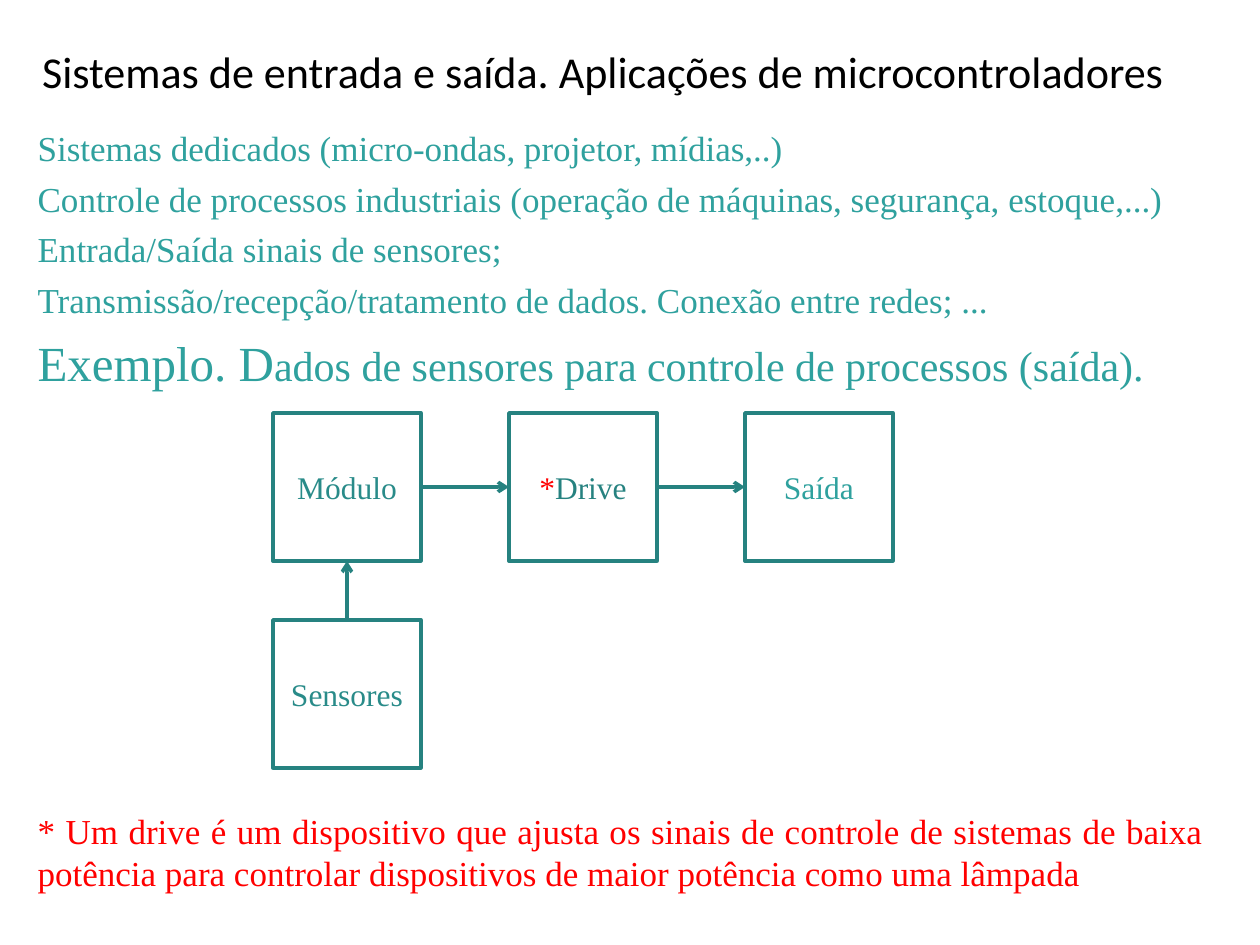
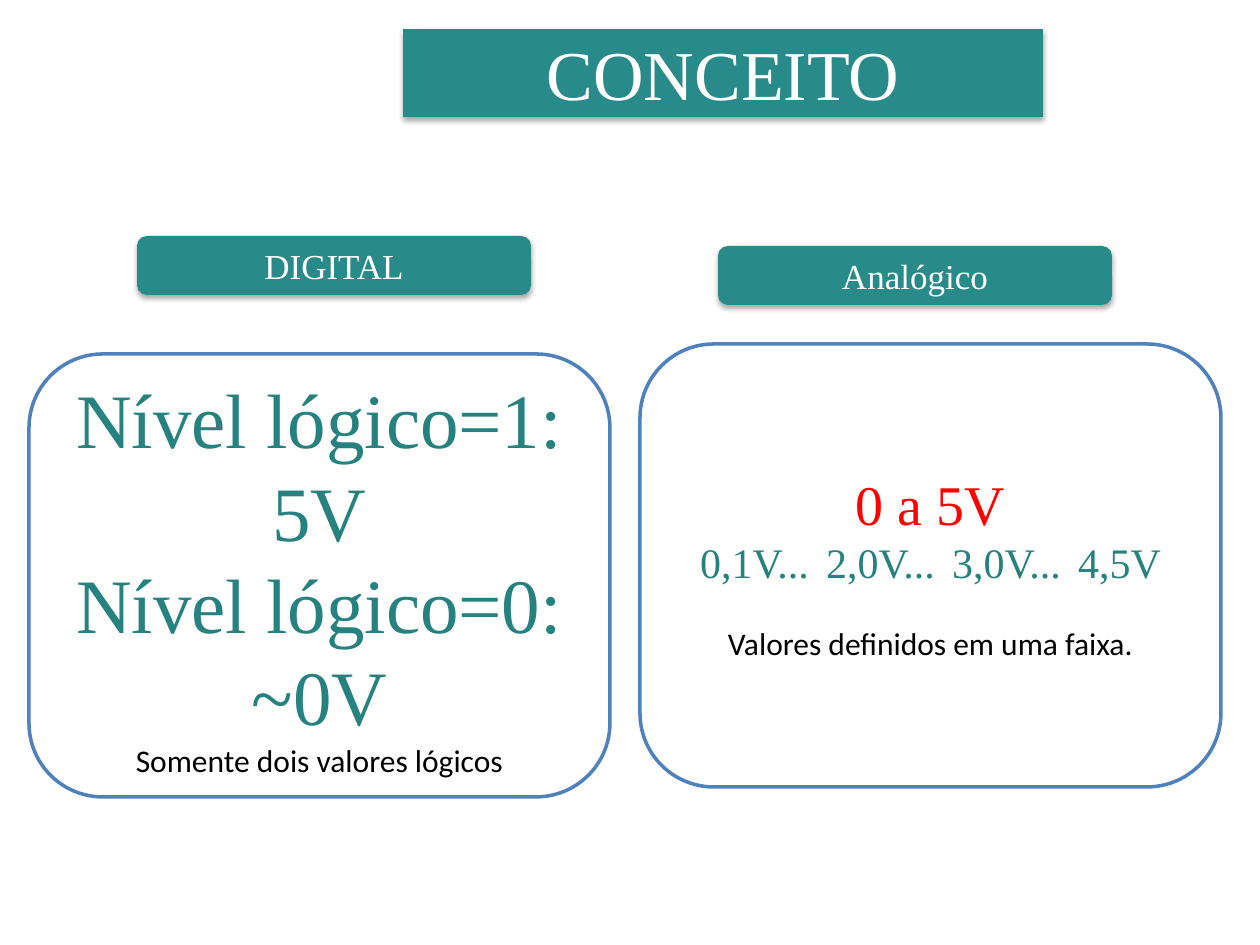
from dataclasses import dataclass

from lxml import etree
from pptx import Presentation
from pptx import util as u
from pptx.dml.color import RGBColor
from pptx.enum import shapes, text
from pptx.oxml.ns import qn

EMU_PER_PX = 914400 / 126


@dataclass(frozen=True)
class Theme:
    serif: str = "Times New Roman"
    sans: str = "Calibri"
    dark_teal: str = "268280"
    teal: str = "298B89"
    light_teal: str = "2FA19E"
    blue: str = "4F81BD"
    red: str = "FF0000"
    black: str = "000000"
    white: str = "FFFFFF"
    heading: float = 25.2
    banner: int = 40
    body: int = 20
    label: int = 18
    example: int = 24
    example_lead: int = 28
    level: int = 44
    value_range: int = 32
    line: int = 2


THEME = Theme()


@dataclass(frozen=True)
class Piece:
    """A stretch of text in one style."""
    text: str
    size: float
    color: str
    font: str = THEME.serif


def px(value):
    return u.Emu(round(value * EMU_PER_PX))


def rgb(color):
    return RGBColor.from_string(color)


def place(shape, left, top, width, height):
    shape.left, shape.top = px(left), px(top)
    shape.width, shape.height = px(width), px(height)


def write(shape, lines, align=text.PP_ALIGN.CENTER,
          anchor=text.MSO_ANCHOR.MIDDLE, gaps=None):
    """Fill a shape with paragraphs; gaps gives the points before each one."""
    frame = shape.text_frame
    frame.word_wrap = True
    frame.auto_size = text.MSO_AUTO_SIZE.NONE
    frame.vertical_anchor = anchor
    gaps = gaps or [0] * len(lines)
    for index, (pieces, gap) in enumerate(zip(lines, gaps)):
        paragraph = frame.add_paragraph() if index else frame.paragraphs[0]
        paragraph.alignment = align
        paragraph.space_before = u.Pt(gap)
        for piece in pieces:
            run = paragraph.add_run()
            run.text = piece.text
            run.font.size = u.Pt(piece.size)
            run.font.name = piece.font
            run.font.color.rgb = rgb(piece.color)


def paint(shape, fill, line=None):
    shape.shadow.inherit = False
    shape.fill.solid()
    shape.fill.fore_color.rgb = rgb(fill)
    if line:
        shape.line.color.rgb = rgb(line)
        shape.line.width = u.Pt(THEME.line)
    else:
        shape.line.fill.background()


def cast_shadow(shape):
    effects = shape.element.spPr.find(qn("a:effectLst"))
    shadow = etree.SubElement(effects, qn("a:outerShdw"), blurRad="40000",
                              dist="23000", dir="5400000", rotWithShape="0")
    color = etree.SubElement(shadow, qn("a:srgbClr"), val=THEME.black)
    etree.SubElement(color, qn("a:alpha"), val="35000")


def add_box(container, kind, bounds, line):
    box = container.add_shape(kind, *map(px, bounds))
    paint(box, THEME.white, line)
    return box


def style_banner(shape, label, size):
    paint(shape, THEME.teal)
    cast_shadow(shape)
    write(shape, [[Piece(label, size, THEME.white)]])


def add_banner(slide, label, bounds):
    banner = slide.shapes.add_shape(shapes.MSO_SHAPE.ROUNDED_RECTANGLE,
                                    *map(px, bounds))
    style_banner(banner, label, THEME.body)


def add_title_banner(slide, label, bounds):
    """Turn the title placeholder into a rounded banner."""
    title = slide.shapes.title
    place(title, *bounds)
    geometry = etree.SubElement(title.element.spPr, qn("a:prstGeom"),
                                prst="roundRect")
    etree.SubElement(geometry, qn("a:avLst"))
    style_banner(title, label, THEME.banner)


def add_arrow(container, start, start_site, end, end_site):
    arrow = container.add_connector(shapes.MSO_CONNECTOR.STRAIGHT, 0, 0, 0, 0)
    arrow.begin_connect(start, start_site)
    arrow.end_connect(end, end_site)
    arrow.line.color.rgb = rgb(THEME.dark_teal)
    arrow.line.width = u.Pt(THEME.line)
    etree.SubElement(arrow.line._get_or_add_ln(), qn("a:tailEnd"), type="arrow")
    etree.SubElement(arrow.element.spPr, qn("a:effectLst"))


def add_signal_diagram(slide):
    size, pitch, left, top, sensor_top = 148, 236, 273, 413, 620
    container = slide.shapes.add_group_shape().shapes

    def add_block(column, row_top, *pieces):
        bounds = (left + column * pitch, row_top, size, size)
        block = add_box(container, shapes.MSO_SHAPE.RECTANGLE, bounds,
                        THEME.dark_teal)
        write(block, [[Piece(label, THEME.label, color)
                       for label, color in pieces]])
        return block

    board = add_block(0, top, ("Módulo", THEME.teal))
    drive = add_block(1, top, ("*", THEME.red), ("Drive", THEME.dark_teal))
    output = add_block(2, top, ("Saída", THEME.light_teal))
    sensors = add_block(0, sensor_top, ("Sensores", THEME.teal))

    # Connection sites: 0 top, 1 left, 2 bottom, 3 right
    add_arrow(container, board, 3, drive, 1)
    add_arrow(container, drive, 3, output, 1)
    add_arrow(container, sensors, 0, board, 2)


def build_applications(presentation):
    slide = presentation.slides.add_slide(presentation.slide_layouts[0])

    # Title
    title = slide.shapes.title
    place(title, 0, 26, 1206, 90)
    write(title, [[Piece(
        "Sistemas de entrada e saída. Aplicações de microcontroladores",
        THEME.heading, THEME.black, THEME.sans)]])

    # Applications, example and footnote
    applications = [
        "Sistemas dedicados (micro-ondas, projetor, mídias,..)",
        "Controle de processos industriais (operação de máquinas, segurança, estoque,...)",
        "Entrada/Saída sinais de sensores;",
        "Transmissão/recepção/tratamento de dados. Conexão entre redes; ...",
    ]
    lines = [[Piece(item, THEME.body, THEME.light_teal)] for item in applications]
    lines.append([
        Piece("Exemplo. D", THEME.example_lead, THEME.light_teal),
        Piece("ados de sensores para controle de processos (saída).",
              THEME.example, THEME.light_teal),
    ])
    lines.append([Piece(
        "* Um drive é um dispositivo que ajusta os sinais de controle de "
        "sistemas de baixa potência para controlar dispositivos de maior "
        "potência como uma lâmpada", THEME.body, THEME.red)])
    body = slide.placeholders[1]
    place(body, 25, 120, 1191, 800)
    write(body, lines, text.PP_ALIGN.JUSTIFY, text.MSO_ANCHOR.TOP,
          gaps=[0, 5, 5, 5, 7, 239])

    add_signal_diagram(slide)


def build_concept(presentation):
    slide = presentation.slides.add_slide(presentation.slide_layouts[5])

    # Banners
    add_title_banner(slide, "CONCEITO", (403, 29, 640, 88))
    add_banner(slide, "DIGITAL", (137, 236, 394, 59))
    add_banner(slide, "Analógico", (718, 246, 394, 59))

    # Panels
    def add_panel(left, top, lines, gaps=None):
        panel = add_box(slide.shapes, shapes.MSO_SHAPE.ROUNDED_RECTANGLE,
                        (left, top, 581, 443), THEME.blue)
        write(panel, lines, gaps=gaps)

    def remark(label):
        return [Piece(label, THEME.label, THEME.black, THEME.sans)]

    add_panel(29, 354, [
        [Piece("Nível lógico=1: 5V", THEME.level, THEME.dark_teal)],
        [Piece("Nível lógico=0: ~0V", THEME.level, THEME.dark_teal)],
        remark("Somente dois valores lógicos"),
    ])
    add_panel(640, 344, [
        [Piece("0 a 5V", THEME.value_range, THEME.red)],
        [Piece("0,1V...\t2,0V...\t3,0V...\t4,5V", THEME.example, THEME.dark_teal)],
        remark("Valores definidos em uma faixa."),
    ], gaps=[0, 0, 21])


def main():
    presentation = Presentation()
    presentation.slide_width, presentation.slide_height = px(1260), px(945)
    build_applications(presentation)
    build_concept(presentation)
    presentation.save("out.pptx")


if __name__ == "__main__":
    main()
